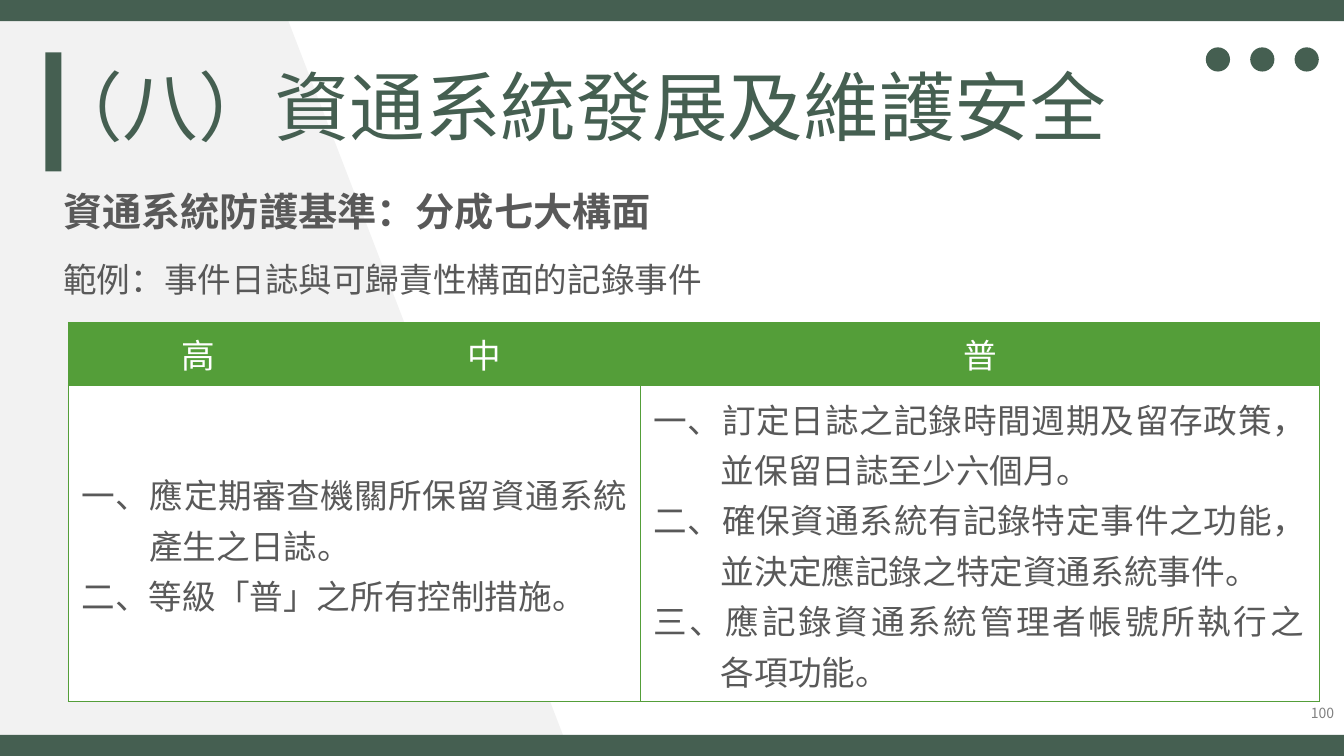
from lxml import etree
from pptx import Presentation
from pptx.dml.color import RGBColor
from pptx.enum.shapes import MSO_SHAPE
from pptx.enum.text import MSO_ANCHOR, PP_ALIGN
from pptx.oxml.ns import qn
from pptx.util import Inches, Pt

RECT, OVAL = MSO_SHAPE.RECTANGLE, MSO_SHAPE.OVAL
MIDDLE = MSO_ANCHOR.MIDDLE
CENTER, RIGHT, JUSTIFY = PP_ALIGN.CENTER, PP_ALIGN.RIGHT, PP_ALIGN.JUSTIFY
FONT = "Noto Sans CJK JP"
DARK, GREEN, GRAY, WHITE = "455F51", "549E39", "595959", "FFFFFF"


def rgb(value):
    return RGBColor.from_string(value)


def write(p, text, size, color, bold=False, font=FONT, indent=0, **layout):
    """Fill a paragraph; indent is hanging, layout holds paragraph attributes."""
    p.text = text
    for name, value in layout.items():
        setattr(p, name, value)
    if indent:
        pPr = p._p.get_or_add_pPr()
        pPr.set("marL", str(Inches(indent)))
        pPr.set("indent", str(Inches(-indent)))
    for r in p.runs:
        for name, value in {"size": Pt(size), "bold": bold, "name": font}.items():
            setattr(r.font, name, value)
        r.font.color.rgb = rgb(color)
        etree.SubElement(r._r.rPr, qn("a:ea"), typeface=font)


prs = Presentation()
prs.slide_width, prs.slide_height = Inches(13.33), Inches(7.5)
s = prs.slides.add_slide(prs.slide_layouts[6])

# Background panel, bars and dots
builder = s.shapes.build_freeform(0, Inches(-0.02))
builder.add_line_segments(
    [(Inches(x), Inches(y)) for x, y in [(0, 7.47), (5.66, 7.49), (2.78, 0)]])
panel = builder.convert_to_shape()
decor = [(panel, "F2F2F2")]
bars = [(RECT, 0.45, 0.52, 0.16, 1.18), (RECT, 0, 0, 13.33, 0.21),
        (RECT, 0, 7.29, 13.33, 0.21)]
dots = [(OVAL, 11.96 + 0.44 * i, 0.47, 0.24, 0.24) for i in range(3)]
for kind, *box in bars + dots:
    decor.append((s.shapes.add_shape(kind, *map(Inches, box)), DARK))
for sp, color in decor:
    sp.shadow.inherit = False
    sp.fill.solid()
    sp.fill.fore_color.rgb = rgb(color)
    sp.line.fill.background()

# Protection levels table
header = ["高", "中", "普"]
body = {
    0: [("一、應定期審查機關所保留資通系統產生之日誌。", 0.67),
        ("二、等級「普」之所有控制措施。", 0)],
    2: [("一、訂定日誌之記錄時間週期及留存政策，並保留日誌至少六個月。", 0.67),
        ("二、確保資通系統有記錄特定事件之功能，並決定應記錄之特定資通系統事件。", 0.67),
        ("三、應記錄資通系統管理者帳號所執行之\v各項功能。", 0.67)],
}
table = s.shapes.add_table(2, 3, Inches(0.68), Inches(3.2),
                           Inches(12.4), Inches(3.67)).table
for col, width in zip(table.columns, [2.57, 3.1, 6.74]):
    col.width = Inches(width)
for row, height in zip(table.rows, [0.55, 3.12]):
    row.height = Inches(height)
table.cell(1, 0).merge(table.cell(1, 1))

cell_format = {"vertical_anchor": MIDDLE,
               "margin_left": Inches(0.13), "margin_right": Inches(0.13),
               "margin_top": Inches(0.07), "margin_bottom": Inches(0.07)}
for row, fill in zip(table.rows, [GREEN, WHITE]):
    for cell in row.cells:
        for name, value in cell_format.items():
            setattr(cell, name, value)
        cell.fill.solid()
        cell.fill.fore_color.rgb = rgb(fill)
        tcPr = cell._tc.get_or_add_tcPr()
        for i, side in enumerate(["lnL", "lnR", "lnT", "lnB"]):
            ln = etree.Element(qn(f"a:{side}"), w=str(Pt(1)))
            solid = etree.SubElement(ln, qn("a:solidFill"))
            etree.SubElement(solid, qn("a:srgbClr"), val=GREEN)
            tcPr.insert(i, ln)

for c, text in enumerate(header):
    write(table.cell(0, c).text_frame.paragraphs[0], text, 24, WHITE, alignment=CENTER)
for c, items in body.items():
    tf = table.cell(1, c).text_frame
    for i, (text, indent) in enumerate(items):
        p = tf.add_paragraph() if i else tf.paragraphs[0]
        write(p, text, 24, GRAY, indent=indent, alignment=JUSTIFY, line_spacing=Pt(36))

# Title, introduction and page number
frames = []
for box in [(0.37, 0.65, 12.36, 1.45), (0.53, 1.78, 11.89, 1.42),
            (11.28, 6.94, 2.05, 0.27)]:
    tf = s.shapes.add_textbox(*map(Inches, box)).text_frame
    tf.word_wrap = True
    frames.append(tf)
title, intro, number = frames
write(title.paragraphs[0], "（八）資通系統發展及維護安全", 54, DARK, line_spacing=0.9)
intro_layout = {"alignment": JUSTIFY, "line_spacing": Pt(36), "space_before": Pt(10)}
write(intro.paragraphs[0], "資通系統防護基準：分成七大構面", 28, GRAY, True, **intro_layout)
write(intro.add_paragraph(), "範例：事件日誌與可歸責性構面的記錄事件", 24, GRAY,
      **intro_layout)
number.vertical_anchor = MIDDLE
write(number.paragraphs[0], "100", 10, "808080", font="Noto Sans CJK SC", alignment=RIGHT)

prs.save("out.pptx")
